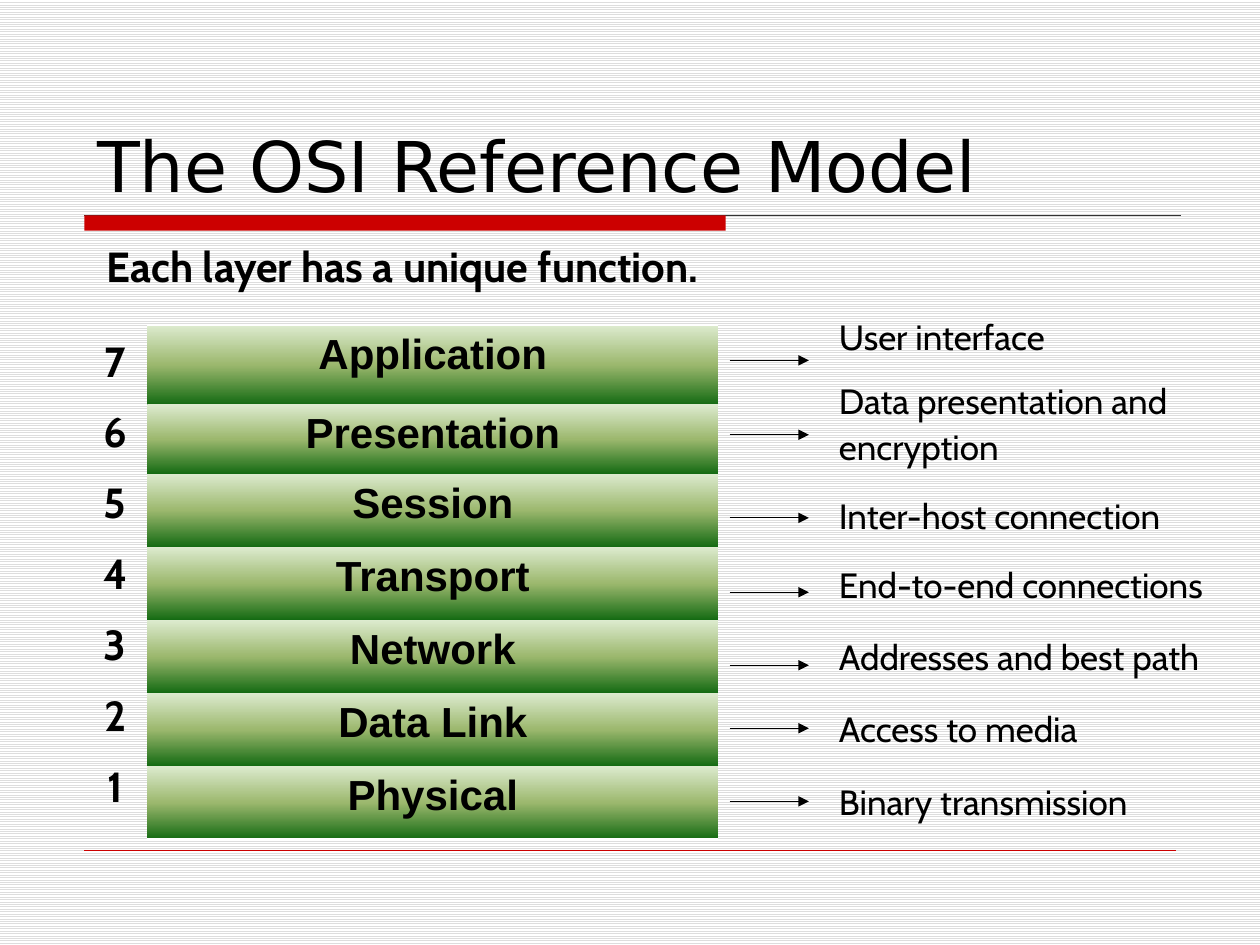
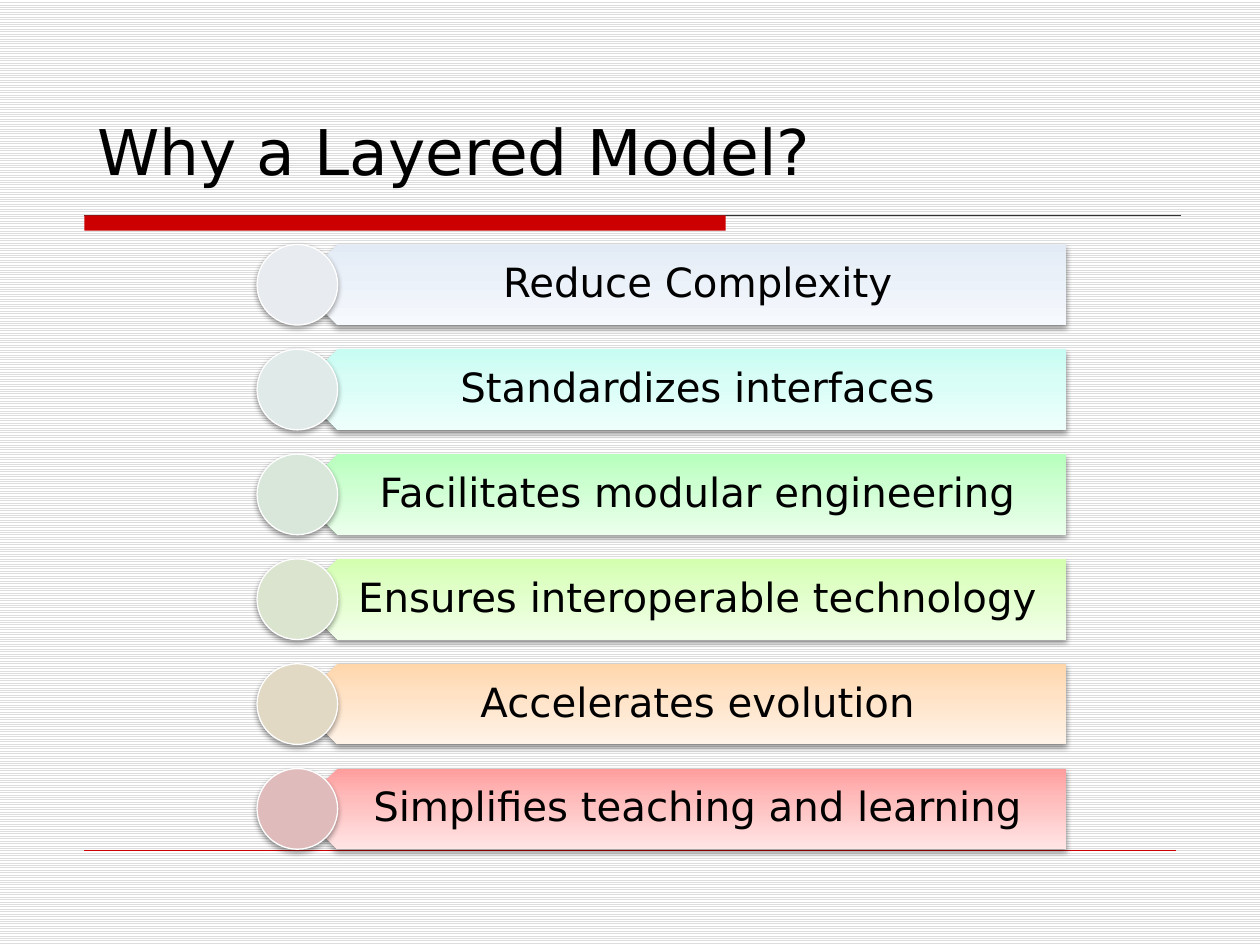
from lxml.etree import SubElement
from pptx import Presentation
from pptx.dml.color import RGBColor
from pptx.enum.dml import MSO_PATTERN
from pptx.enum.shapes import MSO_CONNECTOR, MSO_SHAPE
from pptx.enum.text import MSO_ANCHOR, MSO_AUTO_SIZE, PP_ALIGN
from pptx.oxml.ns import qn
from pptx.util import Inches, Pt

TITLE_FONT, BODY_FONT, TABLE_FONT = "DejaVu Sans", "Cabin", "Arial"
BLACK, WHITE, RED, RULE_GREY, STRIPE_GREY = "000000", "FFFFFF", "CC0000", "333333", "DDDDDD"
LAYER_GRADIENT = [(0, "DDEBCF"), (50, "9CB86E"), (100, "156B13")]
NO_TABLE_STYLE = "{2D5ABB26-0587-4C30-8999-92F81FD0307C}"

LAYERS = ["Application", "Presentation", "Session", "Transport", "Network", "Data Link", "Physical"]
LAYER_HEIGHTS = [0.63, 0.55] + [0.58] * 5
ARROW_TOPS = [2.86, 3.45, 4.11, 4.7, 5.28, 5.78, 6.36]
FUNCTIONS = [
    ("User interface", 0, 0),
    ("Data presentation and encryption", 10, 5),
    ("Inter-host connection", 8, 8),
    ("End-to-end connections", 5, 0),
    ("Addresses and best path", 15, 0),
    ("Access to media", 15, 0),
    ("Binary transmission", 15, 0),
]
REASONS = [
    ("Reduce Complexity", "E8EBEF", ("E2EBF5", "EAF0F8", "F6F9FD")),
    ("Standardizes interfaces", "E0EBE9", ("C7FDF3", "D7FDF6", "EEFFFC")),
    ("Facilitates modular engineering", "D8E7DA", ("B6FFBC", "CBFFCF", "EBFFEC")),
    ("Ensures interoperable technology", "DBE4CF", ("D3FFAE", "DFFFC6", "F2FFE9")),
    ("Accelerates evolution", "E2D9C5", ("FFD6AA", "FFE1C3", "FFF3E8")),
    ("Simplifies teaching and learning", "E0BBBB", ("FF9D9D", "FFBABA", "FFE5E5")),
]


def rgb(color):
    return RGBColor.from_string(color)


def inches(*lengths):
    return [Inches(length) for length in lengths]


def style(paragraph, font_name, size, bold=False, align=PP_ALIGN.LEFT):
    paragraph.alignment = align
    font = paragraph.font
    font.name, font.size, font.bold = font_name, Pt(size), bold
    font.color.rgb = rgb(BLACK)


def add_gradient(fill, owner, stops, angle):
    fill.gradient()
    fill.gradient_angle = angle
    stop_list = next(owner.iter(qn("a:gsLst")))
    for stop in list(stop_list):
        stop_list.remove(stop)
    for position, color in stops:
        stop = SubElement(stop_list, qn("a:gs"), pos=str(position * 1000))
        SubElement(stop, qn("a:srgbClr"), val=color)


def add_shadow(shape):
    effects = shape._element.spPr.find(qn("a:effectLst"))
    shadow = SubElement(effects, qn("a:outerShdw"), blurRad="40000", dist="20000",
                        dir="5400000", rotWithShape="0")
    color = SubElement(shadow, qn("a:srgbClr"), val=BLACK)
    SubElement(color, qn("a:alpha"), val="38000")


def add_line(slide, start, end, color, width, arrow=False):
    line = slide.shapes.add_connector(MSO_CONNECTOR.STRAIGHT, *inches(*start, *end))
    line.line.color.rgb = rgb(color)
    line.line.width = Pt(width)
    if arrow:
        SubElement(line.line._get_or_add_ln(), qn("a:tailEnd"), type="triangle")
    SubElement(line._element.spPr, qn("a:effectLst"))


def add_shape(slide, kind, box):
    shape = slide.shapes.add_shape(kind, *inches(*box))
    shape.shadow.inherit = False
    shape.line.fill.background()
    return shape


def add_text(slide, box, lines, margins=(0.1, 0.05, 0.1, 0.05), anchor=MSO_ANCHOR.TOP):
    frame = slide.shapes.add_textbox(*inches(*box)).text_frame
    frame.word_wrap = True
    frame.vertical_anchor = anchor
    (frame.margin_left, frame.margin_top,
     frame.margin_right, frame.margin_bottom) = inches(*margins)
    frame.text = "\n".join(lines)
    return frame.paragraphs


def add_titled_slide(deck, title, box, size, anchor):
    slide = deck.slides.add_slide(deck.slide_layouts[5])
    add_line(slide, (0.67, 1.71), (9.37, 1.71), RULE_GREY, 0.75)
    band = add_shape(slide, MSO_SHAPE.RECTANGLE, (0.67, 1.71, 5.09, 0.12))
    band.fill.solid()
    band.fill.fore_color.rgb = rgb(RED)
    add_line(slide, (0.67, 6.75), (9.33, 6.75), RED, 0.25)

    heading = slide.shapes.title
    heading.left, heading.top, heading.width, heading.height = inches(*box)
    frame = heading.text_frame
    frame.text = title
    frame.auto_size = MSO_AUTO_SIZE.NONE
    frame.vertical_anchor = anchor
    style(frame.paragraphs[0], TITLE_FONT, size)
    return slide


def add_cell_border(cell, tag):
    border = SubElement(cell._tc.get_or_add_tcPr(), qn(tag), w="12700")
    SubElement(SubElement(border, qn("a:solidFill")), qn("a:srgbClr"), val=WHITE)


def add_layer_table(slide):
    frame = slide.shapes.add_table(len(LAYERS), 1, *inches(1.17, 2.58, 4.53, sum(LAYER_HEIGHTS)))
    next(frame._element.iter(qn("a:tableStyleId"))).text = NO_TABLE_STYLE
    table = frame.table
    table.first_row = table.horz_banding = False
    add_cell_border(table.cell(0, 0), "a:lnT")
    add_cell_border(table.cell(len(LAYERS) - 1, 0), "a:lnB")
    for index, (layer, height) in enumerate(zip(LAYERS, LAYER_HEIGHTS)):
        table.rows[index].height = Inches(height)
        cell = table.cell(index, 0)
        cell.text = layer
        style(cell.text_frame.paragraphs[0], TABLE_FONT, 24, True, PP_ALIGN.CENTER)
        add_gradient(cell.fill, cell._tc, LAYER_GRADIENT, 270)


def add_layer_numbers(slide):
    numbers = [str(number) for number in range(len(LAYERS), 0, -1)]
    for index, paragraph in enumerate(add_text(slide, (0.58, 2.61, 0.67, 4.09), numbers)):
        paragraph.space_before = Pt(11.7 if index else 0)
        style(paragraph, BODY_FONT, 24, True, PP_ALIGN.CENTER)


def add_layer_functions(slide):
    paragraphs = add_text(slide, (6.56, 2.27, 3.27, 4.73), [entry[0] for entry in FUNCTIONS],
                          margins=(0.1, 0.2, 0.1, 0.2))
    for paragraph, (_, before, after) in zip(paragraphs, FUNCTIONS):
        paragraph.line_spacing = 1.1
        paragraph.space_before, paragraph.space_after = Pt(before), Pt(after)
        style(paragraph, BODY_FONT, 20)


def add_reason(slide, top, reason, dot_color, plate_colors):
    plate = add_shape(slide, MSO_SHAPE.PENTAGON, (2.36, top, 6.1, 0.64))
    plate.rotation = 180
    add_gradient(plate.fill, plate._element, zip((0, 35, 100), plate_colors), 90)
    add_shadow(plate)

    label, = add_text(slide, (2.52, top, 5.94, 0.64), [reason],
                      margins=(0.28, 0.1, 0.18, 0.1), anchor=MSO_ANCHOR.MIDDLE)
    label.line_spacing = 0.9
    style(label, TITLE_FONT, 23, align=PP_ALIGN.CENTER)

    dot = add_shape(slide, MSO_SHAPE.OVAL, (2.04, top, 0.64, 0.64))
    dot.fill.solid()
    dot.fill.fore_color.rgb = rgb(dot_color)
    dot.line.color.rgb = rgb(WHITE)
    dot.line.width = Pt(0.75)
    add_shadow(dot)


def build_osi_slide(deck):
    slide = add_titled_slide(deck, "The OSI Reference Model", (0.67, 0.44, 8.52, 1.25), 40,
                             MSO_ANCHOR.BOTTOM)
    for top in ARROW_TOPS:
        add_line(slide, (5.79, top), (6.42, top), BLACK, 0.75, arrow=True)
    add_layer_functions(slide)
    summary, = add_text(slide, (0.75, 1.86, 6.83, 0.5), ["Each layer has a unique function."])
    style(summary, BODY_FONT, 24, True)
    add_layer_numbers(slide)
    add_layer_table(slide)


def build_reasons_slide(deck):
    slide = add_titled_slide(deck, "Why a Layered Model?", (0.67, 0.84, 5.87, 0.7), 36,
                             MSO_ANCHOR.MIDDLE)
    slide.shapes.title.text_frame.word_wrap = False
    for index, (reason, dot_color, plate_colors) in enumerate(REASONS):
        add_reason(slide, 1.94 + index * 0.832, reason, dot_color, plate_colors)


def main():
    deck = Presentation()
    deck.slide_width, deck.slide_height = inches(10, 7.5)
    backdrop = deck.slide_master.background.fill
    backdrop.patterned()
    backdrop.pattern = MSO_PATTERN.LIGHT_HORIZONTAL
    backdrop.fore_color.rgb = rgb(STRIPE_GREY)
    backdrop.back_color.rgb = rgb(WHITE)
    build_osi_slide(deck)
    build_reasons_slide(deck)
    deck.save("out.pptx")


if __name__ == "__main__":
    main()
